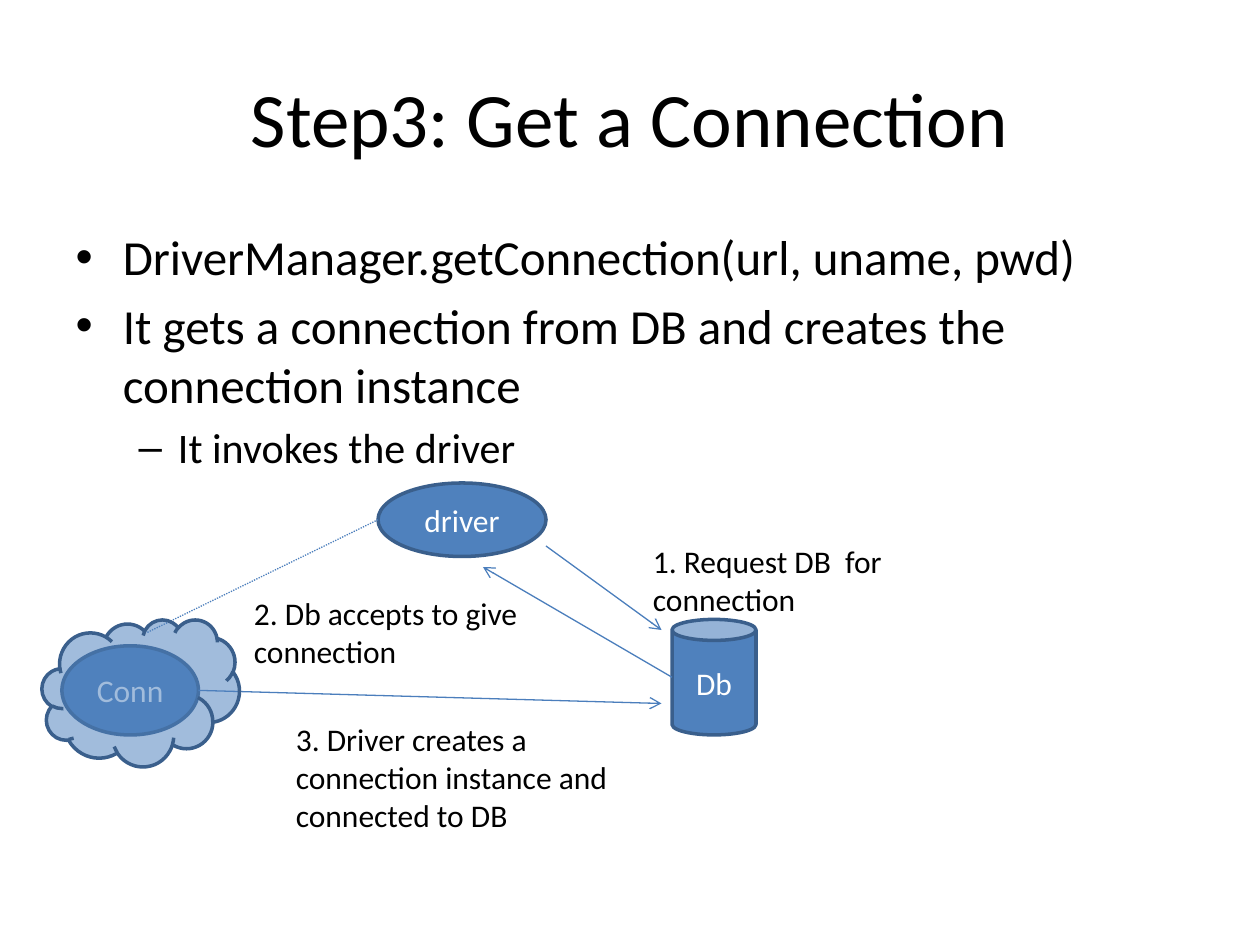
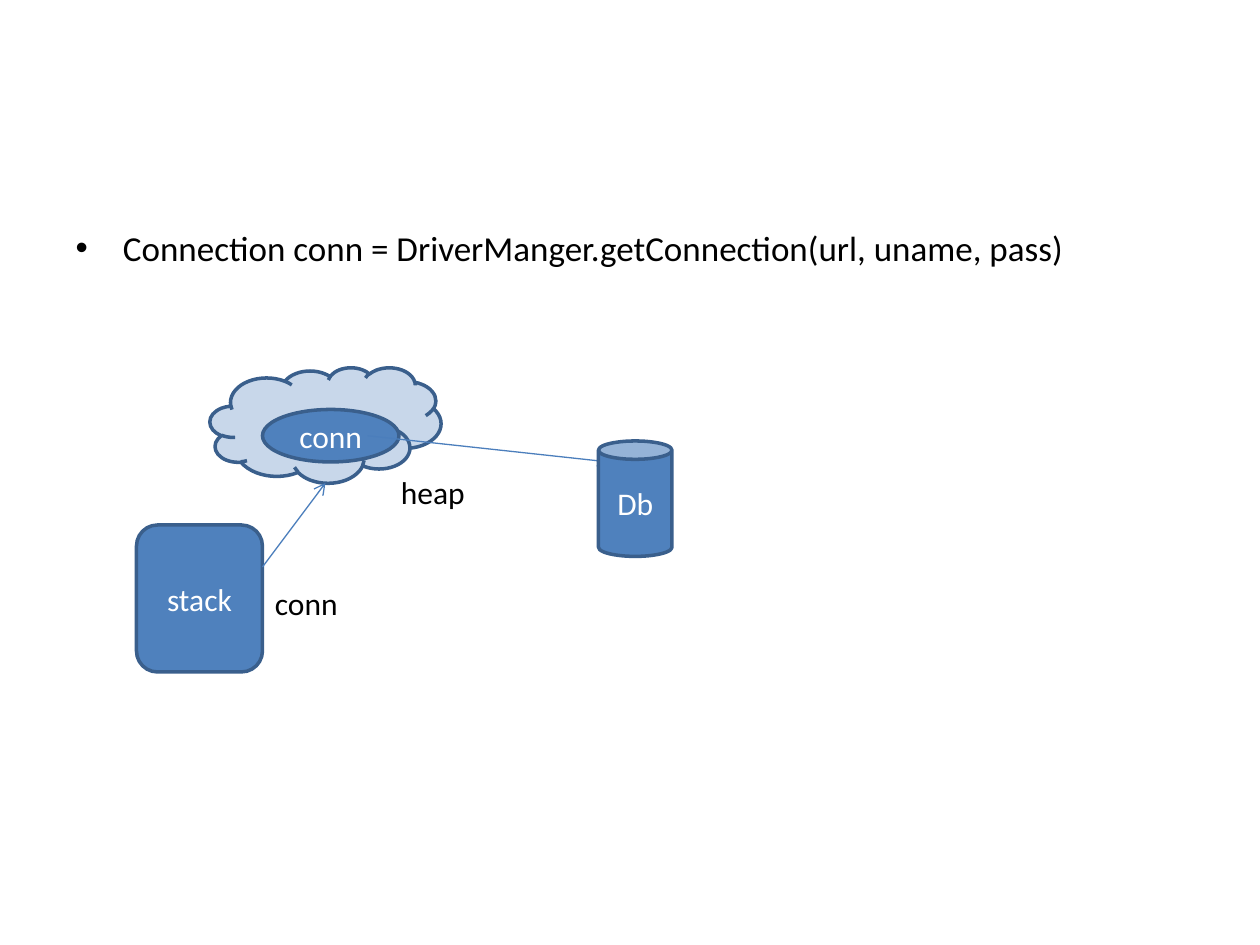
from lxml import etree
from pptx import Presentation
from pptx.dml.color import RGBColor
from pptx.enum.dml import MSO_LINE
from pptx.enum.shapes import MSO_CONNECTOR, MSO_SHAPE
from pptx.enum.text import MSO_ANCHOR, PP_ALIGN
from pptx.oxml.ns import qn
from pptx.util import Inches, Pt

OVAL, CAN = MSO_SHAPE.OVAL, MSO_SHAPE.CAN
CLOUD, ROUND = MSO_SHAPE.CLOUD, MSO_SHAPE.ROUNDED_RECTANGLE
STRAIGHT, DOTS = MSO_CONNECTOR.STRAIGHT, MSO_LINE.ROUND_DOT
MIDDLE, CENTER = MSO_ANCHOR.MIDDLE, PP_ALIGN.CENTER

FONT = "Calibri"
BLUE, EDGE, WIRE = "4F81BD", "3A5F8C", "4B7EBC"
BLACK, WHITE = "000000", "FFFFFF"

# The slide is a grid of 120 columns by 90 rows
WIDE, HIGH = Inches(10), Inches(7.5)
CELL = WIDE / 120
HEAD = (6, 3.6, 108, 15)
BODY = (6, 21, 108, 59.4)


def color(code):
    return RGBColor.from_string(code)


def cells(*spans):
    return [round(span * CELL) for span in spans]


def style(para, size, code):
    para.font.name = FONT
    para.font.size = Pt(size)
    para.font.color.rgb = color(code)


def move(holder, box):
    holder.left, holder.top, holder.width, holder.height = cells(*box)


def fill_title(slide, text):
    title = slide.shapes.title
    move(title, HEAD)
    title.text_frame.text = text
    title.text_frame.vertical_anchor = MIDDLE
    para = title.text_frame.paragraphs[0]
    para.alignment = CENTER
    style(para, 44, BLACK)


def fill_list(slide, items):
    """Each item is a text, a level and a size."""
    body = slide.placeholders[1]
    move(body, BODY)
    frame = body.text_frame
    for i, (text, level, size) in enumerate(items):
        para = frame.add_paragraph() if i else frame.paragraphs[0]
        para.text, para.level = text, level
        style(para, size, BLACK)


class Sketch:
    """Draws parts at columns and rows counted from the corner of a box."""

    def __init__(self, slide, box):
        self.shapes = slide.shapes
        self.left, self.top = box

    def spot(self, col, row):
        return cells(self.left + col, self.top + row)

    def node(self, kind, col, row, wide, high, text="", alpha=None):
        shape = self.shapes.add_shape(
            kind, *self.spot(col, row), *cells(wide, high))
        shape.shadow.inherit = False
        shape.fill.solid()
        shape.fill.fore_color.rgb = color(BLUE)
        shape.line.color.rgb = color(EDGE)
        shape.line.width = Pt(2)
        if alpha:
            tint = shape.fill._xPr.find(".//" + qn("a:srgbClr"))
            etree.SubElement(tint, qn("a:alpha"), val=str(alpha * 1000))
        if text:
            frame = shape.text_frame
            frame.text = text
            frame.vertical_anchor = MIDDLE
            frame.paragraphs[0].alignment = CENTER
            style(frame.paragraphs[0], 18, WHITE)

    def note(self, col, row, wide, high, text):
        label = self.shapes.add_textbox(
            *self.spot(col, row), *cells(wide, high))
        label.text_frame.word_wrap = True
        label.text_frame.text = text
        style(label.text_frame.paragraphs[0], 18, BLACK)

    def link(self, start, end, arrow=True):
        wire = self.shapes.add_connector(
            STRAIGHT, *self.spot(*start), *self.spot(*end))
        wire.line.color.rgb = color(WIRE)
        wire.line.width = Pt(0.75)
        if arrow:
            etree.SubElement(wire.line._get_or_add_ln(),
                             qn("a:tailEnd"), type="arrow")
        else:
            wire.line.dash_style = DOTS
        etree.SubElement(wire._element.spPr, qn("a:effectLst"))


def draw_steps(slide, box):
    art = Sketch(slide, box)
    # Driver and database
    art.node(OVAL, 32, 0, 16, 7, "driver")
    art.node(CAN, 60, 13, 8, 11, "Db")
    # Request and reply
    art.link((48, 6), (59, 14))
    art.note(57, 5, 26, 8.5, "1. Request DB  for connection")
    art.link((60, 18.5), (42, 8))
    art.note(19, 10, 38, 8.5, "2. Db accepts to give connection")
    # Connection instance under its cloud
    art.link((32, 3.5), (10, 14.25), arrow=False)
    art.node(OVAL, 1.9, 15.5, 13, 8.5, "Conn")
    art.link((14.9, 19.75), (59, 21))
    art.note(23, 22, 36, 12,
             "3. Driver creates a connection instance and connected to DB")
    art.node(CLOUD, 0, 13, 18.8, 14, alpha=53)


def draw_memory(slide, box):
    art = Sketch(slide, box)
    # Heap object and the stack that refers to it
    art.node(CLOUD, 7, 0, 22, 11, alpha=31)
    art.node(OVAL, 12, 4, 13, 5, "conn")
    art.node(ROUND, 0, 15, 12, 14, "stack")
    art.link((12, 19), (18, 11))
    art.note(12, 20, 12, 4.8, "conn")
    # Database
    art.link((22, 6.5), (45, 9))
    art.node(CAN, 44, 7, 7, 11, "Db")
    art.note(24, 9.5, 11, 4.8, "heap")


def main():
    deck = Presentation()
    deck.slide_width, deck.slide_height = WIDE, HIGH
    layout = deck.slide_layouts[1]

    # Steps of getting a connection
    steps = deck.slides.add_slide(layout)
    fill_title(steps, "Step3: Get a Connection")
    fill_list(steps, [
        ("DriverManager.getConnection(url, uname, pwd)", 0, 28),
        ("It gets a connection from DB and creates the connection instance",
         0, 28),
        ("It invokes the driver", 1, 24),
    ])
    draw_steps(steps, (4, 46))

    # Connection in memory, without a title
    memory = deck.slides.add_slide(layout)
    title = memory.shapes.title._element
    title.getparent().remove(title)
    fill_list(memory, [
        ("Connection conn = DriverManger.getConnection(url, uname, pass)",
         0, 20),
    ])
    draw_memory(memory, (13, 35))

    deck.save("out.pptx")


if __name__ == "__main__":
    main()
